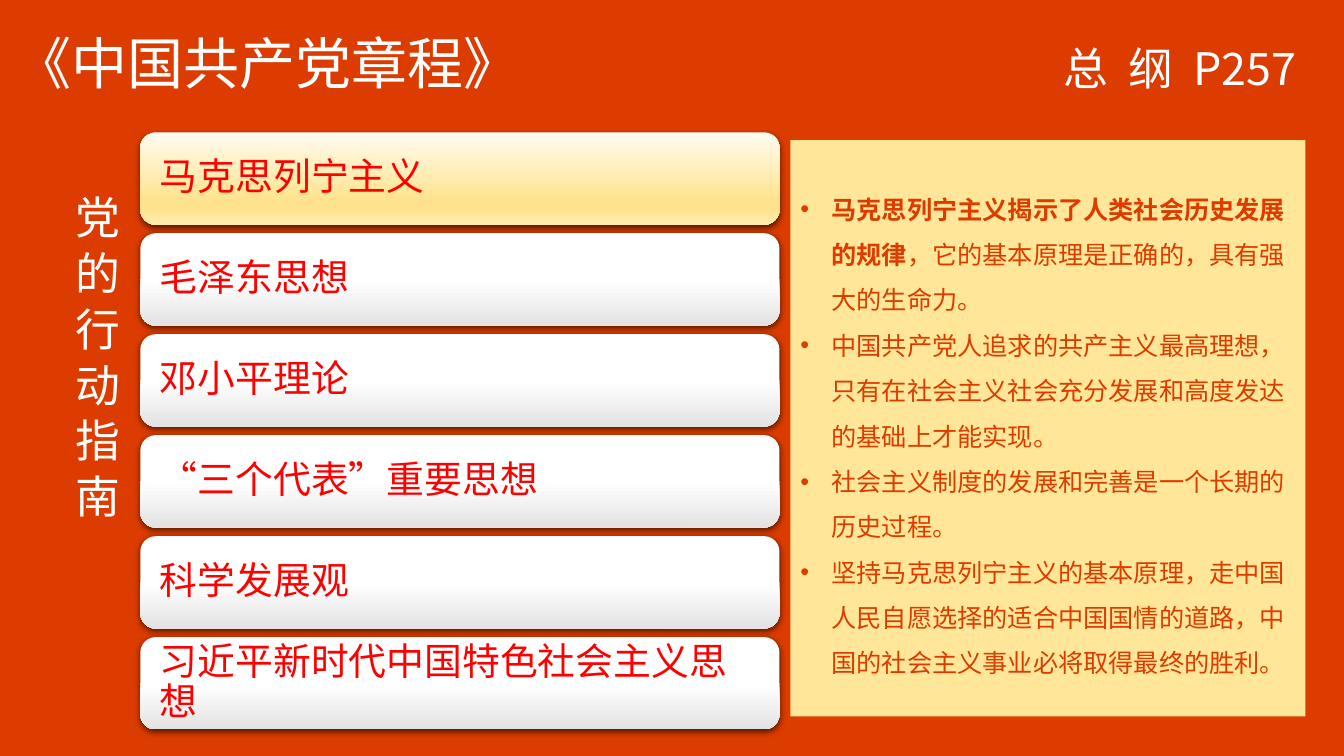
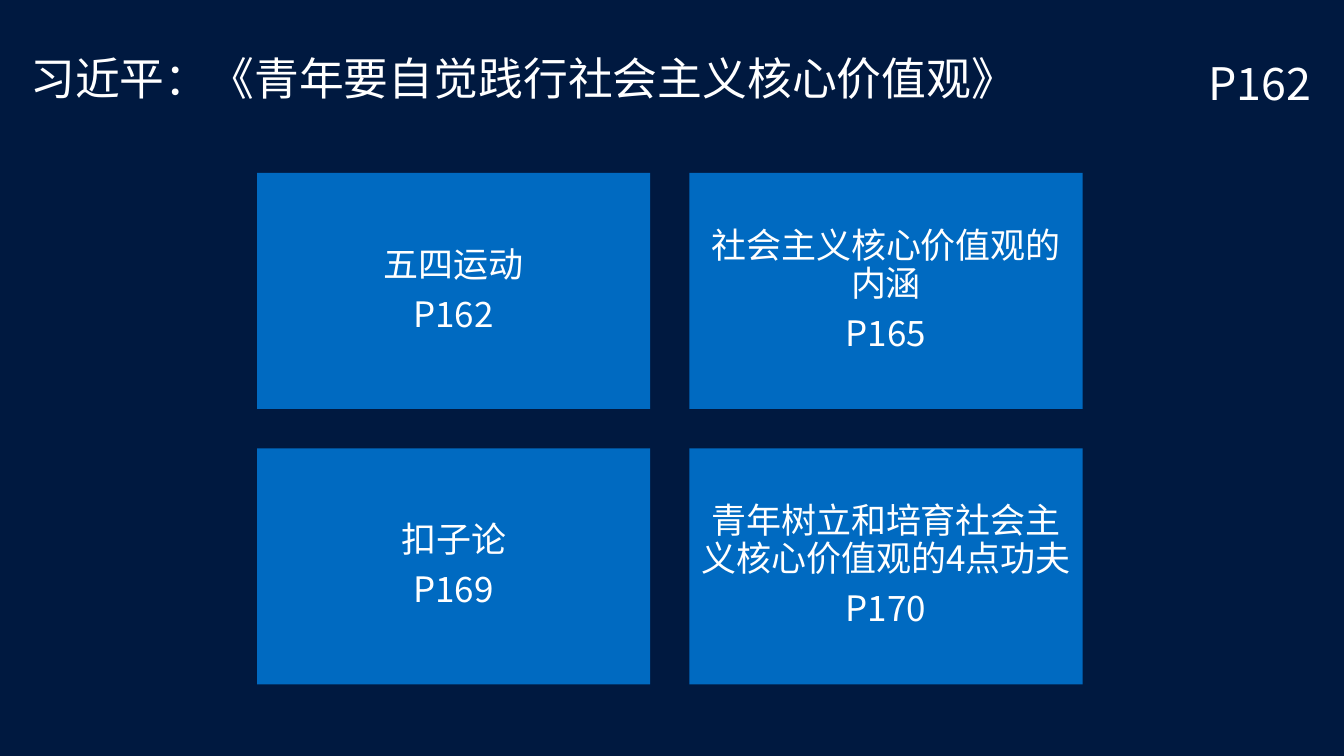
from itertools import product

from lxml.etree import SubElement
from pptx import Presentation
from pptx.dml.color import RGBColor
from pptx.enum.shapes import MSO_SHAPE
from pptx.enum.text import MSO_ANCHOR, MSO_AUTO_SIZE, PP_ALIGN
from pptx.oxml.ns import qn
from pptx.util import Emu, Inches, Pt

COLORS = {
    "red": "DC3C00",
    "navy": "001940",
    "white": "FFFFFF",
    "sand": "FFE699",
    "blue": "006AC1",
    "label": "FF0000",
    "shadow": "000000",
}
GOLD = [(0, "FFFCF2"), (74, "FFE38C"), (83, "FFE38C"), (100, "FFECB2")]
SILVER = [(0, "FFFFFF"), (50, "FFFFFF"), (100, "E3E3E3")]
FONT = "Noto Sans CJK SC"
COLUMNS, ROWS = 160, 90


class Deck:
    """Draws styled elements on the current slide, placed on a 160 by 90 grid."""

    def __init__(self):
        self.show = Presentation()
        self.show.slide_width, self.show.slide_height = Inches(13.333), Inches(7.5)
        self.slide = None

    def place(self, left, top, width, height):
        column = self.show.slide_width / COLUMNS
        row = self.show.slide_height / ROWS
        return [Emu(round(n * unit)) for n, unit in
                ((left, column), (top, row), (width, column), (height, row))]

    def new_slide(self, background, title, size, box):
        self.slide = self.show.slides.add_slide(self.show.slide_layouts[5])
        fill = self.slide.background.fill
        fill.solid()
        fill.fore_color.rgb = RGBColor.from_string(COLORS[background])
        heading = self.slide.shapes.title
        heading.left, heading.top, heading.width, heading.height = self.place(*box)
        self.fill_text(heading, [title], size, spacing=0.9)

    def fill_text(self, shape, texts, size, color="white", align=PP_ALIGN.LEFT,
                  anchor=MSO_ANCHOR.TOP, spacing=1.0, after=0, inset=None):
        frame = shape.text_frame
        frame.word_wrap = True
        frame.auto_size = MSO_AUTO_SIZE.NONE
        frame.vertical_anchor = anchor
        if inset is not None:
            frame.margin_left = frame.margin_right = Inches(inset)
        frame.text = "\n".join(texts)
        for paragraph in frame.paragraphs:
            paragraph.alignment = align
            paragraph.line_spacing = spacing
            paragraph.space_before = Pt(0)
            paragraph.space_after = Pt(after * size)
            for run in paragraph.runs:
                self.style(run, size, color)
        return frame

    def style(self, run, size, color, bold=False):
        run.font.name = FONT
        run.font.size = Pt(size)
        run.font.bold = bold
        run.font.color.rgb = RGBColor.from_string(COLORS[color])
        SubElement(run.font._element, qn("a:ea"), typeface=FONT)

    def text(self, content, box, size=32, **style):
        note = self.slide.shapes.add_textbox(*self.place(*box))
        return self.fill_text(note, [content], size, **style)

    def vertical_text(self, content, box):
        frame = self.text(content, box, spacing=2.0)
        frame._txBody.bodyPr.set("vert", "eaVert")

    def block(self, box, color=None, preset=MSO_SHAPE.RECTANGLE):
        shape = self.slide.shapes.add_shape(preset, *self.place(*box))
        shape.shadow.inherit = False
        shape.line.fill.background()
        if color:
            shape.fill.solid()
            shape.fill.fore_color.rgb = RGBColor.from_string(COLORS[color])
        return shape

    def tile(self, texts, box):
        self.fill_text(self.block(box, "blue"), texts, 25, align=PP_ALIGN.CENTER,
                       anchor=MSO_ANCHOR.MIDDLE, spacing=0.9, after=0.35)

    def bar(self, label, box, stops):
        shape = self.block(box, preset=MSO_SHAPE.ROUNDED_RECTANGLE)
        shape.fill.gradient()
        shape.fill.gradient_angle = 270
        properties = shape._element.spPr
        ramp = properties.find(qn("a:gradFill")).find(qn("a:gsLst"))
        ramp.clear()
        for position, color in stops:
            stop = SubElement(ramp, qn("a:gs"), pos=str(position * 1000))
            SubElement(stop, qn("a:srgbClr"), val=color)
        shadow = SubElement(properties.find(qn("a:effectLst")), qn("a:outerShdw"),
                            blurRad=str(Pt(4.5)), dist=str(Pt(1.5)),
                            dir="5400000", algn="ctr", rotWithShape="0")
        tint = SubElement(shadow, qn("a:srgbClr"), val=COLORS["shadow"])
        SubElement(tint, qn("a:alpha"), val="63000")
        self.fill_text(shape, [label], 27, "label", anchor=MSO_ANCHOR.MIDDLE,
                       spacing=0.9, after=0.35, inset=0.15)

    def bullet_panel(self, lead, points, box):
        frame = self.fill_text(self.block(box, "sand"), points, 18, "red",
                               anchor=MSO_ANCHOR.MIDDLE, spacing=1.5)
        for paragraph in frame.paragraphs:
            properties = paragraph._p.get_or_add_pPr()
            properties.set("marL", str(Inches(0.31)))
            properties.set("indent", str(Inches(-0.31)))
            SubElement(properties, qn("a:buFont"), typeface="Arial")
            SubElement(properties, qn("a:buChar"), char="•")
        opening = frame.paragraphs[0]
        opening.runs[0].text = lead
        opening.runs[0].font.bold = True
        rest = opening.add_run()
        rest.text = points[0][len(lead):]
        self.style(rest, 18, "red")


def charter_slide(deck):
    deck.new_slide("red", "《中国共产党章程》", 40, (0.7, 3.7, 76.7, 8.9))
    deck.text("总  纲  P257", (109.2, 4.3, 46.3, 7.7), align=PP_ALIGN.RIGHT)
    deck.vertical_text("党 的 行 动 指 南", (6.2, 22.1, 15.4, 47.2))
    points = [
        "马克思列宁主义揭示了人类社会历史发展的规律，它的基本原理是正确的，具有强大的生命力。",
        "中国共产党人追求的共产主义最高理想，只有在社会主义社会充分发展和高度发达的基础上才能实现。",
        "社会主义制度的发展和完善是一个长期的历史过程。",
        "坚持马克思列宁主义的基本原理，走中国人民自愿选择的适合中国国情的道路，"
        "中国的社会主义事业必将取得最终的胜利。",
    ]
    deck.bullet_panel("马克思列宁主义揭示了人类社会历史发展的规律", points,
                      (94.1, 16.7, 61.3, 68.6))
    guides = ["马克思列宁主义", "毛泽东思想", "邓小平理论", "“三个代表”重要思想",
              "科学发展观", "习近平新时代中国特色社会主义思想"]
    for row, guide in enumerate(guides):
        deck.bar(guide, (16.7, 15.75 + 12.02 * row, 76.1, 11),
                 SILVER if row else GOLD)


def youth_slide(deck):
    deck.new_slide("navy", "习近平：《青年要自觉践行社会主义核心价值观》", 32,
                   (2.4, 6.1, 126.6, 8.9))
    deck.text("P162", (111, 6.1, 46.3, 7.7), align=PP_ALIGN.RIGHT)
    topics = [
        ("五四运动", "P162"),
        ("社会主义核心价值观的内涵", "P165"),
        ("扣子论", "P169"),
        ("青年树立和培育社会主义核心价值观的4点功夫", "P170"),
    ]
    width, height, gap = 46.8, 28.1, 4.68
    for (row, column), topic in zip(product(range(2), repeat=2), topics):
        deck.tile(topic, (30.6 + column * (width + gap),
                          20.6 + row * (height + gap), width, height))


def main():
    deck = Deck()
    charter_slide(deck)
    youth_slide(deck)
    deck.show.save("out.pptx")


if __name__ == "__main__":
    main()
